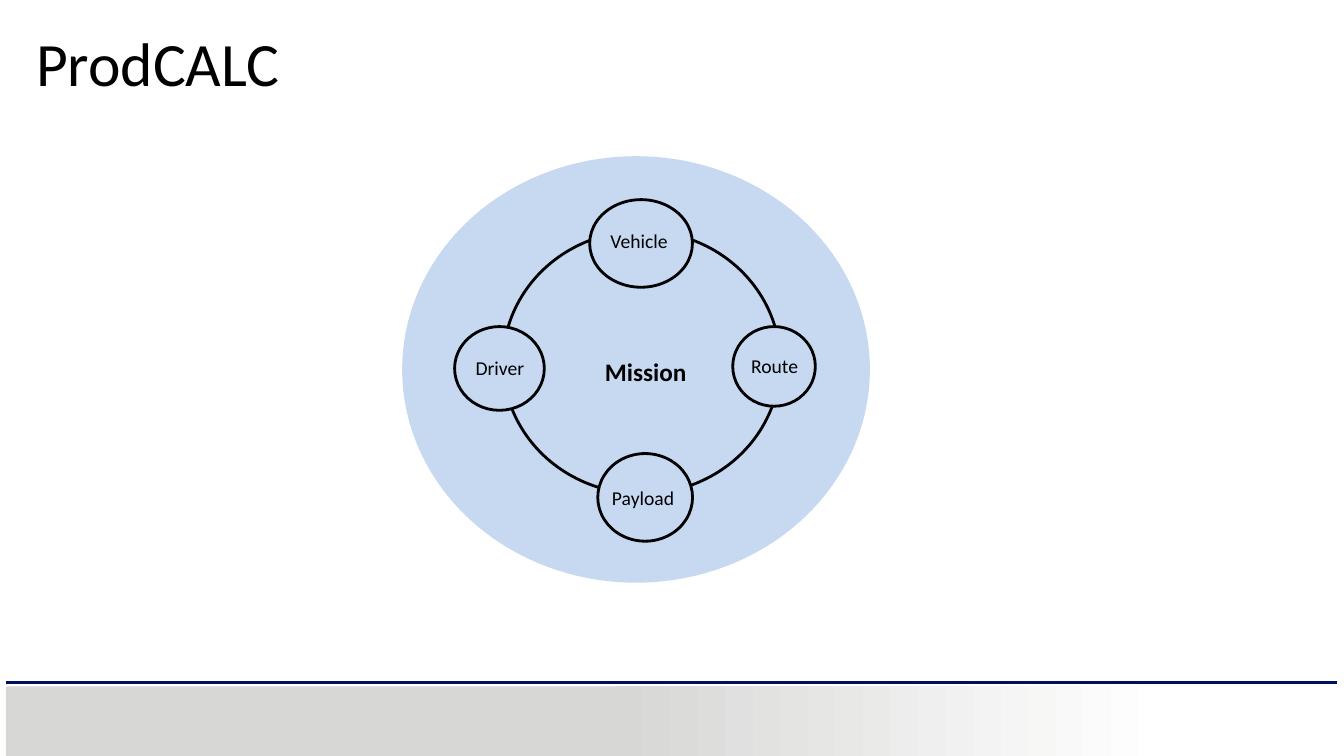
from pptx import Presentation
from pptx.dml.color import RGBColor
from pptx.enum import shapes as kinds, text as txt
from pptx.oxml import parse_xml
from pptx.oxml.ns import nsdecls
from pptx.util import Pt

HUES = {"ink": "000000", "sky": "C6D9F1", "grey": "D7D8D6", "white": "FFFFFF", "navy": "000F60"}
TITLE = ("ProdCALC", (18.7, 20.2, 828, 104.4))
CORE = ("Mission", (421.2, 250.6, 79.9, 27.4))
DISK = (287.3, 111.6, 334.1, 304.6)
RING = (359.3, 164.9, 198, 187.9)
NODES = [
    ("Vehicle", (421.2, 142.6, 73.4, 62.6), (427, 159.8, 59, 24.5)),
    ("Route", (523.4, 233.3, 59, 56.9), (527, 249.1, 52.6, 24.5)),
    ("Payload", (427, 324, 67.7, 62.6), (427, 343.4, 64.8, 24.5)),
    ("Driver", (324.7, 233.3, 64.1, 59.8), (330.5, 250.6, 53.3, 24.5)),
]
BAND = (4.3, 490.3, 441.4, 49.7)
FADE = (439.2, 490.3, 393.8, 49.7)
RULE = (4.3, 487.4, 954.7, 487.4)
KIND = kinds.MSO_SHAPE
CENTER = txt.PP_ALIGN.CENTER


def hue(name):
    return RGBColor.from_string(HUES[name])


def points(box):
    return [Pt(v) for v in box]


def put(kind, box, fill=None, line=None):
    shape = slide.shapes.add_shape(kind, *points(box))
    shape.shadow.inherit = False
    if fill:
        shape.fill.solid()
        shape.fill.fore_color.rgb = hue(fill)
    else:
        shape.fill.background()
    if line:
        shape.line.color.rgb = hue(line)
        shape.line.width = Pt(2)
    else:
        shape.line.fill.background()
    return shape


def write(words, box, form, **style):
    frame = slide.shapes.add_textbox(*points(box)).text_frame
    frame.word_wrap = True
    para = frame.paragraphs[0]
    for key, value in style.items():
        setattr(para, key, value)
    run = para.add_run()
    run.text = words
    for key, value in {"name": "Calibri", **form}.items():
        setattr(run.font, key, value)
    run.font.color.rgb = hue("ink")


deck = Presentation()
deck.slide_width, deck.slide_height = Pt(960), Pt(540)
slide = deck.slides.add_slide(deck.slide_layouts[6])

put(KIND.RECTANGLE, BAND, "grey")
fade = put(KIND.RECTANGLE, FADE)
fade.fill.gradient()
fade.fill.gradient_angle = 0
for stop, name in zip(fade.fill.gradient_stops, ("grey", "white")):
    stop.color.rgb = hue(name)

rule = slide.shapes.add_connector(kinds.MSO_CONNECTOR.STRAIGHT, *points(RULE))
rule.line.color.rgb = hue("navy")
rule.line.width = Pt(2)
rule._element.spPr.append(parse_xml(f"<a:effectLst {nsdecls('a')}/>"))

write(*TITLE, {"size": Pt(44)}, line_spacing=0.9)
put(KIND.OVAL, DISK, "sky")
write(*CORE, {"size": Pt(18), "bold": True}, alignment=CENTER)
put(KIND.OVAL, RING, line="ink")
for label, oval, box in NODES:
    put(KIND.OVAL, oval, "sky", "ink")
    write(label, box, {"size": Pt(14)}, alignment=CENTER)

deck.save("out.pptx")
